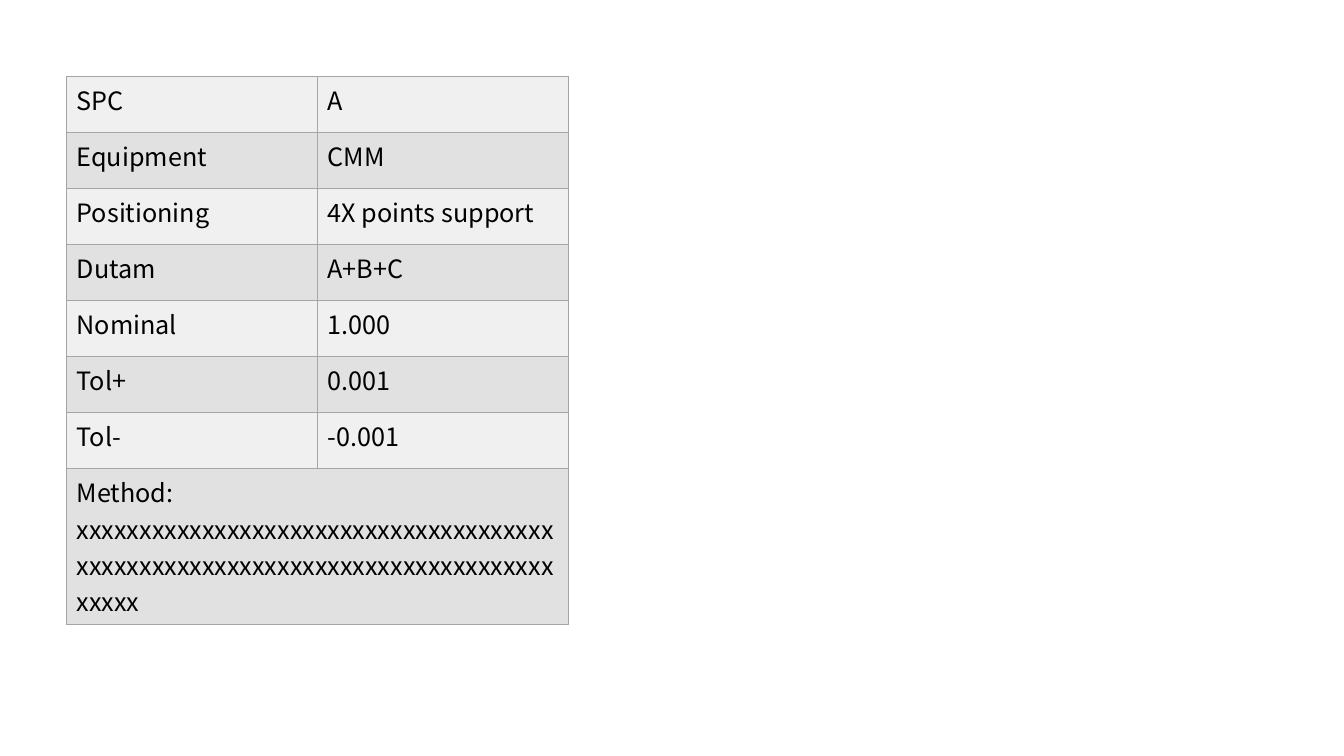
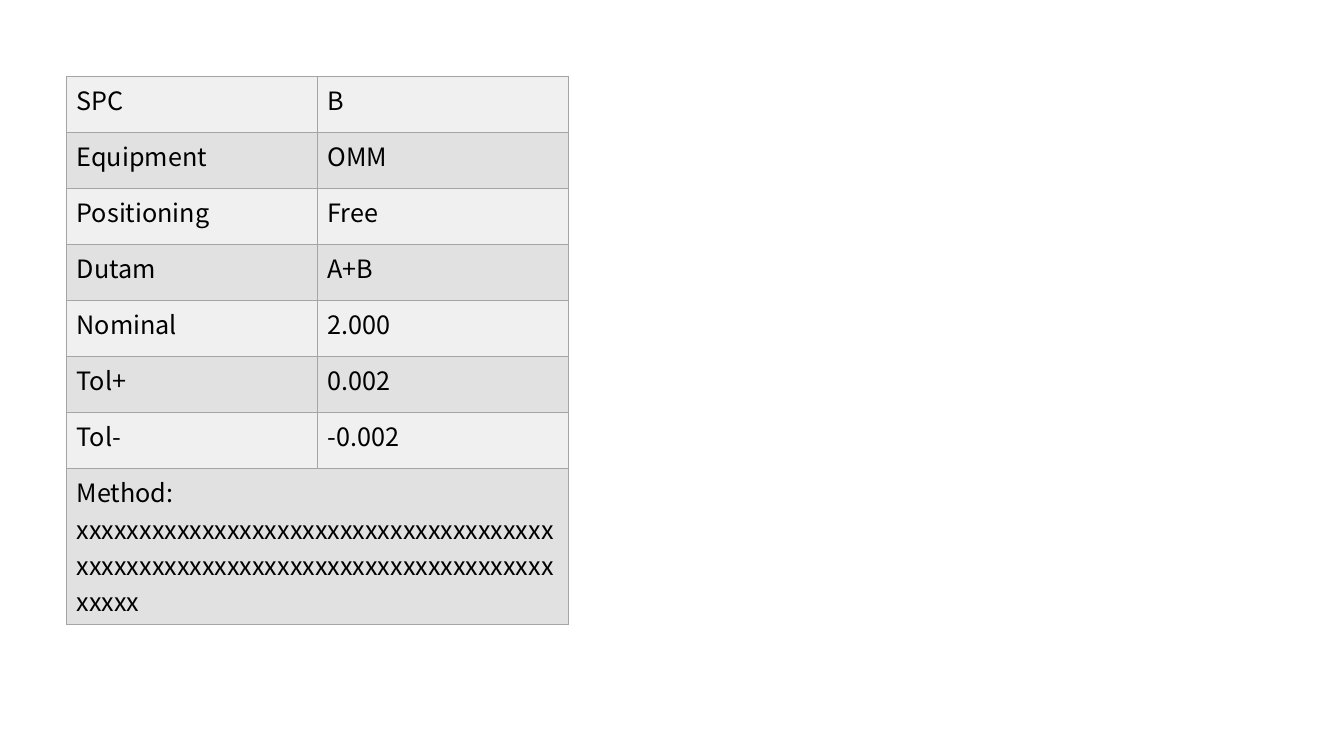
"""Build two inspection sheets, each with one measurement table."""
import dataclasses

import pptx
import pptx.dml.color
import pptx.oxml
import pptx.oxml.ns
import pptx.presentation
import pptx.table
import pptx.util

Cm = pptx.util.Cm
Pt = pptx.util.Pt

COLOURS = {"light": "F0F0F0", "dark": "E1E1E1", "border": "A5A5A5", "text": "000000"}
FONT = "Noto Sans CJK SC"
LABELS = ("SPC", "Equipment", "Positioning", "Dutam", "Nominal", "Tol+", "Tol-")
LEFT, TOP = Cm(1.68), Cm(1.93)
COLUMN_WIDTH, ROW_HEIGHT, METHOD_HEIGHT = Cm(6.32), Cm(1.41), Cm(2.39)


@dataclasses.dataclass(frozen=True)
class Inspection:
    values: tuple[str, ...]
    method: str


INSPECTIONS = (
    Inspection(("A", "CMM", "4X points support", "A+B+C", "1.000", "0.001", "-0.001"), "x" * 81),
    Inspection(("B", "OMM", "Free", "A+B", "2.000", "0.002", "-0.002"), "x" * 81),
)


def rgb(name: str) -> pptx.dml.color.RGBColor:
    return pptx.dml.color.RGBColor.from_string(COLOURS[name])


def style_cell(cell: pptx.table._Cell, fill: str) -> None:
    tc_pr = cell._tc.get_or_add_tcPr()
    for side in ("L", "R", "T", "B"):
        tc_pr.append(pptx.oxml.parse_xml(
            f'<a:ln{side} {pptx.oxml.ns.nsdecls("a")} w="{Pt(1)}"><a:solidFill>'
            f'<a:srgbClr val="{COLOURS["border"]}"/></a:solidFill></a:ln{side}>'
        ))
    cell.fill.solid()
    cell.fill.fore_color.rgb = rgb(fill)


def write_cell(cell: pptx.table._Cell, *lines: str) -> None:
    tf = cell.text_frame
    for i, line in enumerate(lines):
        p = tf.add_paragraph() if i else tf.paragraphs[0]
        r = p.add_run()
        r.text = line
        r.font.name = FONT
        r.font.size = Pt(18)
        r.font.color.rgb = rgb("text")


def add_inspection(prs: pptx.presentation.Presentation, inspection: Inspection) -> None:
    s = prs.slides.add_slide(prs.slide_layouts.get_by_name("Blank"))
    last = len(LABELS)
    height = ROW_HEIGHT * last + METHOD_HEIGHT
    table = s.shapes.add_table(last + 1, 2, LEFT, TOP, COLUMN_WIDTH * 2, height).table
    table.first_row = False
    table.horz_banding = False
    for column in table.columns:
        column.width = COLUMN_WIDTH
    for i, row in enumerate(table.rows):
        row.height = METHOD_HEIGHT if i == last else ROW_HEIGHT
        for cell in row.cells:
            style_cell(cell, "dark" if i % 2 else "light")
    for i, pair in enumerate(zip(LABELS, inspection.values)):
        for j, text in enumerate(pair):
            write_cell(table.cell(i, j), text)
    table.cell(last, 0).merge(table.cell(last, 1))
    write_cell(table.cell(last, 0), "Method:", inspection.method)


def main() -> None:
    prs = pptx.Presentation()
    prs.slide_width, prs.slide_height = Cm(33.87), Cm(19.05)
    for inspection in INSPECTIONS:
        add_inspection(prs, inspection)
    prs.save("out.pptx")


main()
